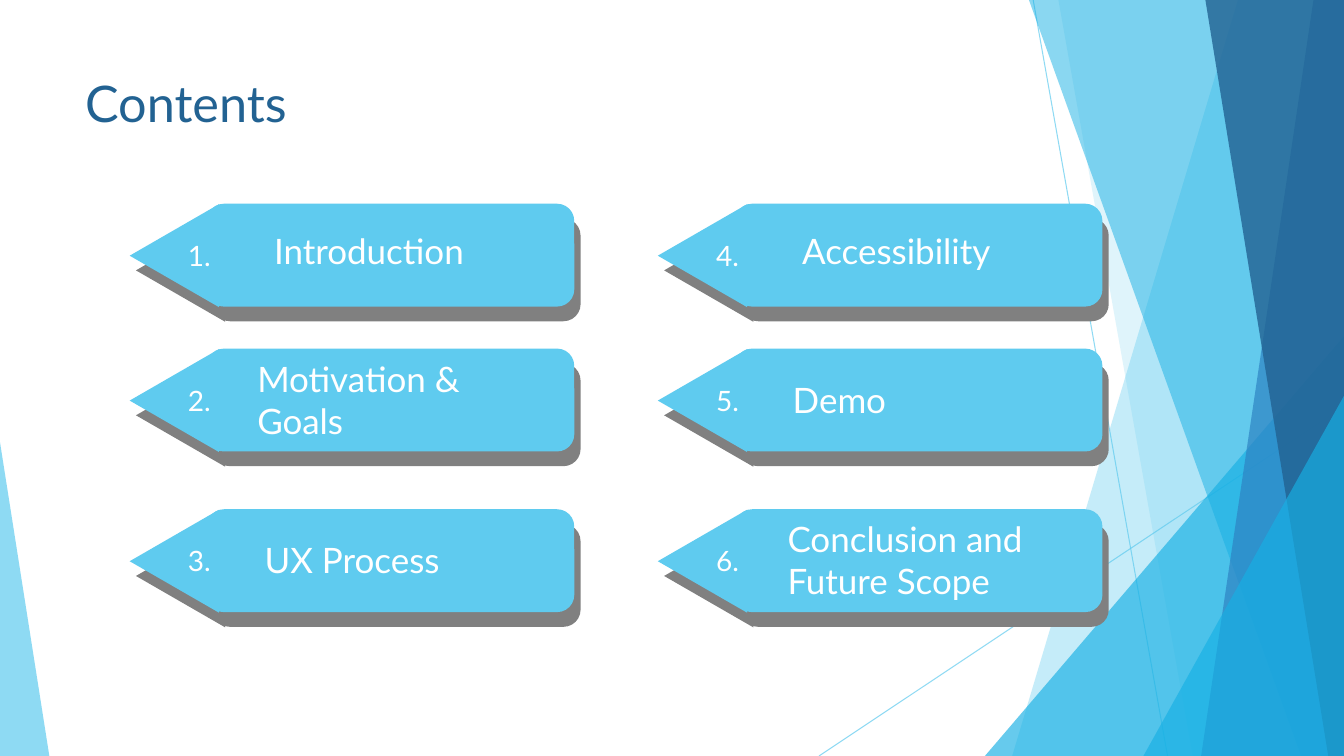
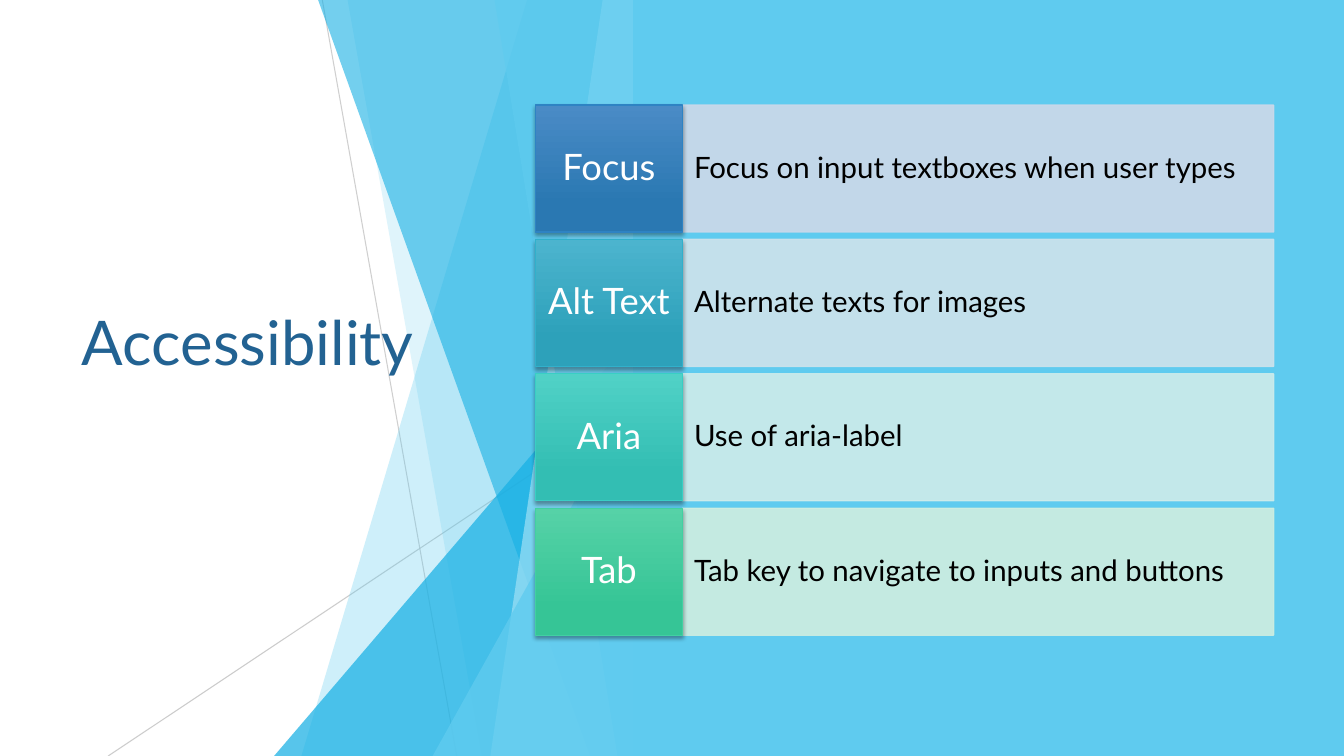
from dataclasses import dataclass

from lxml.etree import SubElement
from pptx import Presentation
from pptx.dml.color import RGBColor
from pptx.enum.shapes import MSO_CONNECTOR, MSO_SHAPE
from pptx.enum.text import MSO_ANCHOR, MSO_AUTO_SIZE, PP_ALIGN
from pptx.oxml.ns import qn
from pptx.util import Emu, Pt

EMU_PER_PX = 9525
WIDTH, HEIGHT = 1280, 720
TITLE_ONLY = 5


@dataclass(frozen=True)
class Theme:
    font: str = "Lato"
    white: str = "FFFFFF"
    black: str = "000000"
    sky: str = "5FCBEF"
    pale_sky: str = "9FE0F5"
    azure: str = "17B0E4"
    blue: str = "2E83C3"
    navy: str = "226292"
    gray: str = "808080"
    light_gray: str = "BFBFBF"
    title_size: int = 36
    side_title_size: int = 44
    number_size: int = 20
    label_size: int = 25
    term_size: int = 26
    detail_size: int = 21


THEME = Theme()

# Facets run to the right edge: ("band", top x, bottom x) or ("wedge", left, top).
FACETS = [
    ("band", 1179, 964),
    ("band", 1008, 1136),
    ("wedge", 938, 320),
    ("band", 980, 1239),
    ("band", 1251, 1144),
    ("band", 1148, 1265),
    ("wedge", 1089, 377),
]
FACET_LINES = [(984, 0, 1112, HEIGHT), (WIDTH, 387, 780, HEIGHT)]

# Each pair is a colour and its opacity in percent.
CONTENTS_FACETS = [
    (THEME.sky, 36), (THEME.sky, 20), (THEME.azure, 66), (THEME.azure, 50),
    (THEME.blue, 70), (THEME.navy, 80), (THEME.azure, 66),
]
CONTENTS_LINES = [(THEME.sky, 70), (THEME.sky, 70)]
SIDE_FACETS = [
    (THEME.sky, 30), (THEME.sky, 20), (THEME.azure, 72), (THEME.azure, 60),
    (THEME.pale_sky, 70), (THEME.sky, 65), (THEME.sky, 80),
]
SIDE_LINES = [(THEME.light_gray, 75), (THEME.light_gray, 80)]

# Label, left edge in the first column, rise above the arrow's middle.
CONTENTS = [
    ("Introduction", 251, 4),
    ("Motivation & Goals", 235, 1),
    ("UX Process", 242, 1),
    ("Accessibility", 251, 4),
    ("Demo", 242, 1),
    ("Conclusion and Future Scope", 237, 1),
]
ARROW_ROWS = [194, 332, 485]
COLUMN_PITCH = 503

# Term, detail, gradient top and bottom, outline, detail fill.
FEATURES = [
    ("Focus", "Focus on input textboxes when user types",
     "4A8BC6", "2A78B2", "2E83C3", "CDD9E9"),
    ("Alt Text", "Alternate texts for images",
     "4CB4CE", "2DA1BA", "31B0CB", "CEE3EB"),
    ("Aria", "Use of aria-label",
     "50D1C6", "33BEB3", "39CEC4", "CEECEA"),
    ("Tab", "Tab key to navigate to inputs and buttons",
     "56D2A7", "36C596", "42D0A2", "CFEEE0"),
]


def px(length):
    return Emu(round(length * EMU_PER_PX))


def rgb(color):
    return RGBColor.from_string(color)


def set_opacity(shape, percent):
    """Apply one opacity to the solid fill and the line."""
    if percent < 100:
        for color in shape.element.spPr.iter(qn("a:srgbClr")):
            SubElement(color, qn("a:alpha"), val=str(percent * 1000))


def write(frame, text, *, size, color, align=PP_ALIGN.LEFT,
          anchor=MSO_ANCHOR.TOP, inset=(10, 5), line_spacing=None):
    frame.word_wrap = True
    frame.auto_size = MSO_AUTO_SIZE.NONE
    frame.vertical_anchor = anchor
    frame.margin_left = frame.margin_right = px(inset[0])
    frame.margin_top = frame.margin_bottom = px(inset[1])
    paragraph = frame.paragraphs[0]
    paragraph.alignment = align
    if line_spacing:
        paragraph.line_spacing = line_spacing
    run = paragraph.add_run()
    run.text = text
    run.font.name = THEME.font
    run.font.size = Pt(size)
    run.font.color.rgb = rgb(color)


class Deck:
    def __init__(self):
        self.presentation = Presentation()
        self.presentation.slide_width = px(WIDTH)
        self.presentation.slide_height = px(HEIGHT)
        self.slide = None

    def add_slide(self):
        layout = self.presentation.slide_layouts[TITLE_ONLY]
        self.slide = self.presentation.slides.add_slide(layout)

    def title(self, text, left, top, width, height, **style):
        """Fill the title placeholder and bring it in front of the facets."""
        title = self.slide.shapes.title
        title.left, title.top = px(left), px(top)
        title.width, title.height = px(width), px(height)
        write(title.text_frame, text, color=THEME.navy, **style)
        self.slide.shapes.element.append(title.element)

    def paint(self, shape, fill, line=None, opacity=100):
        """Set a solid or two-colour gradient fill and an optional outline."""
        shape.shadow.inherit = False
        if isinstance(fill, tuple):
            shape.fill.gradient()
            shape.fill.gradient_angle = 270
            for stop, color, position in zip(shape.fill.gradient_stops, fill, (0, 0.78)):
                stop.color.rgb = rgb(color)
                stop.position = position
        else:
            shape.fill.solid()
            shape.fill.fore_color.rgb = rgb(fill)
        if line:
            shape.line.color.rgb = rgb(line)
            shape.line.width = Pt(1)
        else:
            shape.line.fill.background()
        set_opacity(shape, opacity)

    def shape(self, kind, left, top, width, height, fill, **paint):
        shape = self.slide.shapes.add_shape(kind, px(left), px(top), px(width), px(height))
        self.paint(shape, fill, **paint)
        return shape

    def wedge(self, left, top, right, apex, fill, opacity):
        """Draw a triangle that stands on the bottom edge of the slide."""
        triangle = self.shape(MSO_SHAPE.ISOSCELES_TRIANGLE, left, top,
                              right - left, HEIGHT - top, fill, opacity=opacity)
        triangle.adjustments[0] = apex

    def band(self, top_x, bottom_x, right, fill, opacity):
        builder = self.slide.shapes.build_freeform(top_x, 0, scale=EMU_PER_PX)
        builder.add_line_segments([(right, 0), (right, HEIGHT), (bottom_x, HEIGHT)])
        self.paint(builder.convert_to_shape(), fill, opacity=opacity)

    def line(self, start_x, start_y, end_x, end_y, color, opacity):
        line = self.slide.shapes.add_connector(
            MSO_CONNECTOR.STRAIGHT, px(start_x), px(start_y), px(end_x), px(end_y))
        line.line.color.rgb = rgb(color)
        line.line.width = Pt(0.75)
        set_opacity(line, opacity)
        SubElement(line.element.spPr, qn("a:effectLst"))

    def facets(self, facet_colors, line_colors, right=WIDTH):
        shift = right - WIDTH
        for (x1, y1, x2, y2), (color, opacity) in zip(FACET_LINES, line_colors):
            self.line(x1 + shift, y1, x2 + shift, y2, color, opacity)
        for (kind, first, second), (color, opacity) in zip(FACETS, facet_colors):
            if kind == "band":
                self.band(first + shift, second + shift, right, color, opacity)
            else:
                self.wedge(first + shift, second, right, 1, color, opacity)

    def text(self, text, left, top, width, height, **style):
        box = self.slide.shapes.add_textbox(px(left), px(top), px(width), px(height))
        write(box.text_frame, text, **style)

    def arrow(self, left, top):
        """Draw a left-pointing tag over its gray offset twin."""
        for offset_x, offset_y, color in ((6, 14, THEME.gray), (0, 0, THEME.sky)):
            x, y = left + offset_x, top + offset_y
            self.shape(MSO_SHAPE.ROUNDED_RECTANGLE, x + 80, y, 350, 98, color)
            head = self.shape(MSO_SHAPE.ISOSCELES_TRIANGLE, x, y + 7, 98, 85, color)
            head.rotation = 270

    def drop_shadow(self, shape):
        effects = shape.element.spPr.find(qn("a:effectLst"))
        shadow = SubElement(effects, qn("a:outerShdw"), blurRad=str(Pt(3)),
                            dist=str(Pt(2)), dir="5400000", rotWithShape="0")
        color = SubElement(shadow, qn("a:srgbClr"), val=THEME.black)
        SubElement(color, qn("a:alpha"), val="35000")

    def feature(self, top, term, detail, gradient, outline, detail_fill):
        height = 121
        style = {"anchor": MSO_ANCHOR.MIDDLE, "line_spacing": 0.9}
        detail_box = self.shape(MSO_SHAPE.RECTANGLE, 650, top, 563, height,
                                detail_fill, line=detail_fill, opacity=90)
        write(detail_box.text_frame, detail, size=THEME.detail_size,
              color=THEME.black, inset=(11, 31), **style)
        term_box = self.shape(MSO_SHAPE.RECTANGLE, 510, top, 140, height,
                              gradient, line=outline)
        self.drop_shadow(term_box)
        write(term_box.text_frame, term, size=THEME.term_size, color=THEME.white,
              align=PP_ALIGN.CENTER, inset=(8, 12), **style)


def build_contents(deck):
    deck.add_slide()
    deck.facets(CONTENTS_FACETS, CONTENTS_LINES)
    deck.wedge(0, 421, 47, 0, THEME.sky, 70)
    deck.title("Contents", 71, 64, 902, 138, size=THEME.title_size)
    for index, (label, label_left, rise) in enumerate(CONTENTS):
        column, row = divmod(index, len(ARROW_ROWS))
        left, top = column * COLUMN_PITCH, ARROW_ROWS[row]
        deck.arrow(left + 117, top)
        deck.text(f"{index + 1}.", left + 169, top + 28, 55, 42,
                  size=THEME.number_size, color=THEME.white)
        deck.text(label, left + label_left, top - rise, 286, 98,
                  size=THEME.label_size, color=THEME.white, anchor=MSO_ANCHOR.MIDDLE)


def build_accessibility(deck):
    panel_left = 603
    deck.add_slide()
    deck.facets(SIDE_FACETS, SIDE_LINES, right=panel_left)
    deck.title("Accessibility", 68, 110, 372, 430,
               size=THEME.side_title_size, anchor=MSO_ANCHOR.MIDDLE)
    deck.shape(MSO_SHAPE.RECTANGLE, panel_left, 0, WIDTH - panel_left, HEIGHT, THEME.sky)
    for index, (term, detail, light, dark, outline, pale) in enumerate(FEATURES):
        deck.feature(100 + index * 128, term, detail, (light, dark), outline, pale)


def main():
    deck = Deck()
    build_contents(deck)
    build_accessibility(deck)
    deck.presentation.save("out.pptx")


if __name__ == "__main__":
    main()
